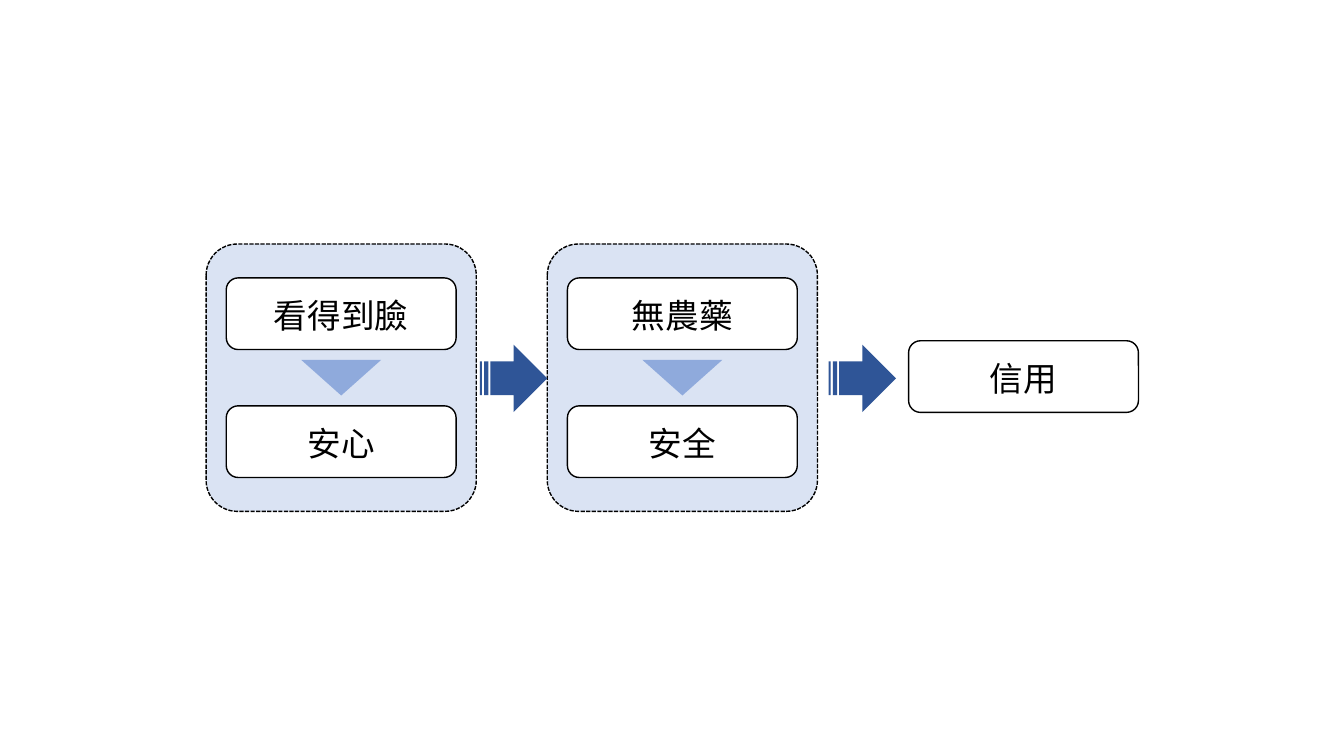
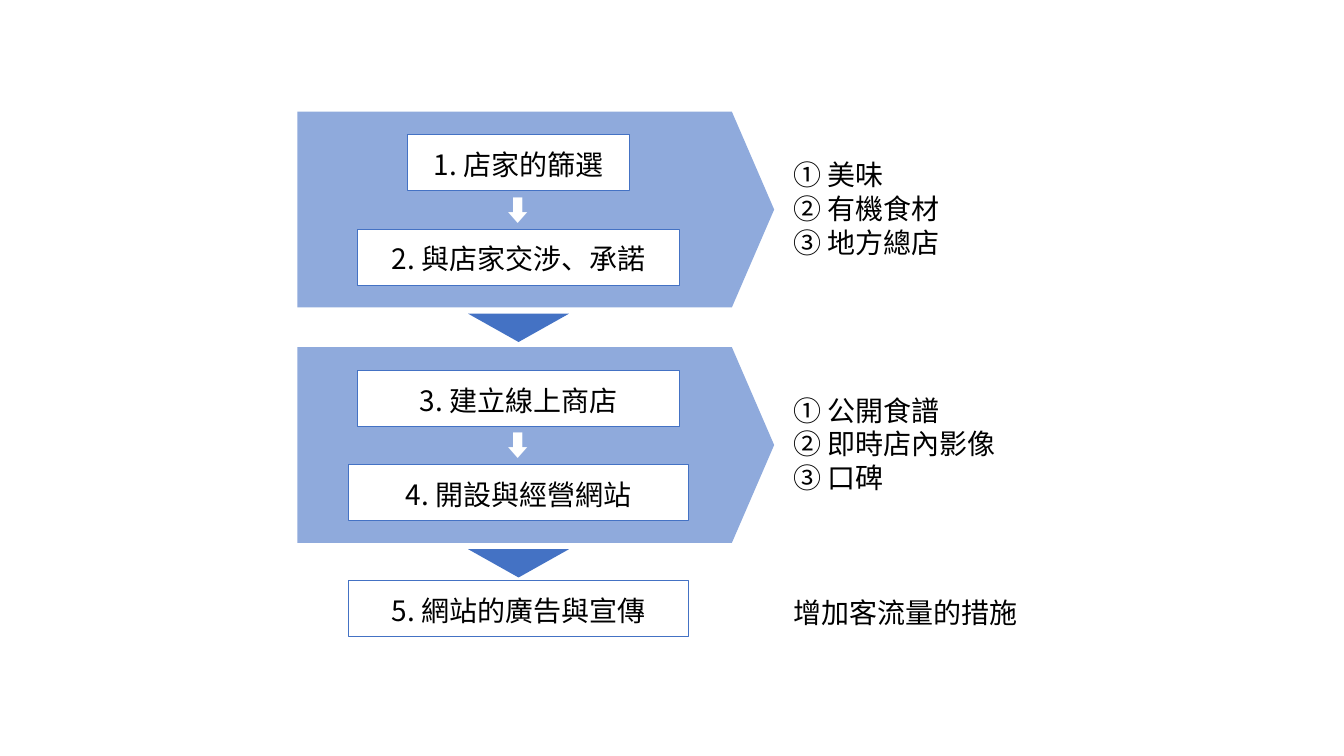
from dataclasses import dataclass

from lxml.etree import SubElement
from pptx import Presentation
from pptx.dml.color import RGBColor
from pptx.enum.dml import MSO_LINE
from pptx.enum.shapes import MSO_SHAPE as Kind
from pptx.enum.text import MSO_ANCHOR as Anchor, PP_ALIGN as Align
from pptx.oxml.ns import qn
from pptx.shapes.autoshape import Shape
from pptx.slide import Slide
from pptx.text.text import TextFrame
from pptx.util import Pt

FONT = "Noto Sans CJK JP"
BLACK, WHITE = "000000", "FFFFFF"
PALE, LIGHT, BLUE, DARK = "DAE3F3", "8FAADC", "4472C4", "2F5597"
BLANK_LAYOUT = 6


@dataclass(frozen=True)
class Area:
    """A rectangle in points."""
    left: float
    top: float
    width: float
    height: float

    def lengths(self) -> tuple[Pt, Pt, Pt, Pt]:
        """Return left, top, width and height as lengths."""
        return Pt(self.left), Pt(self.top), Pt(self.width), Pt(self.height)


@dataclass(frozen=True)
class Pair:
    """A cause and its effect, stacked in one panel."""
    cause: str
    effect: str


@dataclass(frozen=True)
class Step:
    """A numbered step and the width of its box."""
    text: str
    width: float


@dataclass(frozen=True)
class Phase:
    """Two steps with the points they cover."""
    first: Step
    second: Step
    points: tuple[str, ...]


def color(code: str) -> RGBColor:
    """Turn a hex string into a colour."""
    return RGBColor.from_string(code)


def centered(x: float, y: float, width: float, height: float) -> Area:
    """Return the area whose middle is at x, y."""
    return Area(x - width / 2, y - height / 2, width, height)


def write(frame: TextFrame, lines: tuple[str, ...], size: float,
          align: Align = Align.CENTER, code: str = BLACK, bold: bool = False) -> None:
    """Write one paragraph per line in the shared font."""
    frame.word_wrap = True
    for number, line in enumerate(lines):
        para = frame.add_paragraph() if number else frame.paragraphs[0]
        para.text = line
        para.alignment = align
        font = para.font
        font.name, font.size, font.bold = FONT, Pt(size), bold
        font.color.rgb = color(code)
        defaults = para._p.pPr.find(qn("a:defRPr"))
        SubElement(defaults, qn("a:ea")).set("typeface", FONT)


def add_figure(page: Slide, kind: Kind, area: Area, fill: str,
               line: str = "", weight: float = 1) -> Shape:
    """Add a flat preset shape, outlined only if a line colour is given."""
    figure = page.shapes.add_shape(kind, *area.lengths())
    figure.shadow.inherit = False
    figure.fill.solid()
    figure.fill.fore_color.rgb = color(fill)
    if line:
        figure.line.color.rgb = color(line)
        figure.line.width = Pt(weight)
    else:
        figure.line.fill.background()
    return figure


def add_pointer(page: Slide, area: Area, fill: str) -> None:
    """Add a triangle that points down."""
    add_figure(page, Kind.ISOSCELES_TRIANGLE, area, fill).rotation = 180


def add_label(figure: Shape, text: str, size: float) -> None:
    """Write a label in the middle of a shape."""
    frame = figure.text_frame
    frame.vertical_anchor = Anchor.MIDDLE
    frame.margin_top, frame.margin_bottom = Pt(2), Pt(0)
    write(frame, (text,), size)


def add_text(page: Slide, area: Area, lines: tuple[str, ...]) -> None:
    """Add a left-aligned text box."""
    box = page.shapes.add_textbox(*area.lengths())
    write(box.text_frame, lines, 20, Align.LEFT)


def add_card(page: Slide, x: float, y: float, text: str) -> None:
    """Add a rounded white card around a middle point."""
    area = centered(x, y, 164.2, 51.2)
    add_label(add_figure(page, Kind.ROUNDED_RECTANGLE, area, WHITE, BLACK), text, 24)


def add_panel(page: Slide, x: float, y: float, pair: Pair) -> None:
    """Add a dashed panel with two cards and a pointer between them."""
    panel = add_figure(page, Kind.ROUNDED_RECTANGLE, centered(x, y, 193, 191), PALE, BLACK)
    panel.adjustments[0] = 0.117
    panel.line.dash_style = MSO_LINE.SQUARE_DOT
    add_card(page, x, y - 45.7, pair.cause)
    add_card(page, x, y + 45.7, pair.effect)
    add_pointer(page, centered(x, y, 57, 25.4), LIGHT)


def build_trust(page: Slide) -> None:
    """Draw how seen faces and clean food lead to trust."""
    middle, pitch = 269.8, 243.7
    pairs = (Pair("看得到臉", "安心"), Pair("無農藥", "安全"))
    for column, pair in enumerate(pairs, 1):
        add_panel(page, pitch * column, middle, pair)
    add_card(page, pitch * 3, middle - 0.8, "信用")
    for left in (342.8, 591.9):
        add_figure(page, Kind.STRIPED_RIGHT_ARROW, Area(left, 246.2, 48.2, 48.2), DARK)


STEP_X = 370.4
NOTE_LEFT = 559.4


def add_step(page: Slide, top: float, step: Step) -> None:
    """Add the box of a numbered step."""
    area = Area(STEP_X - step.width / 2, top, step.width, 40)
    add_label(add_figure(page, Kind.RECTANGLE, area, WHITE, BLUE, 0.75), step.text, 20)


def add_small_arrow(page: Slide, y: float) -> None:
    """Add a white arrow character turned to point down."""
    box = page.shapes.add_textbox(*centered(STEP_X, y, 47.5, 31.5).lengths())
    box.rotation = 90
    box.text_frame.vertical_anchor = Anchor.MIDDLE
    write(box.text_frame, ("➡",), 20, code=WHITE, bold=True)


def add_phase(page: Slide, top: float, phase: Phase) -> None:
    """Add a phase with its steps, its points and the pointer below."""
    plate = add_figure(page, Kind.PENTAGON, Area(212.4, top, 340.6, 139.8), LIGHT)
    plate.adjustments[0] = 0.216
    add_step(page, top + 16.6, phase.first)
    add_small_arrow(page, top + 70.2)
    add_step(page, top + 83.9, phase.second)
    add_text(page, Area(NOTE_LEFT, top + 29.4, 181, 80), phase.points)
    add_pointer(page, Area(STEP_X - 36, top + 144.3, 72, 20.2), BLUE)


def build_plan(page: Slide) -> None:
    """Draw the five steps that open the shop."""
    phases = (
        Phase(Step("1. 店家的篩選", 158.6), Step("2. 與店家交涉、承諾", 230),
              ("① 美味", "② 有機食材", "③ 地方總店")),
        Phase(Step("3. 建立線上商店", 230), Step("4. 開設與經營網站", 243),
              ("① 公開食譜", "② 即時店內影像", "③ 口碑")),
    )
    for row, phase in enumerate(phases):
        add_phase(page, 79.8 + 168.2 * row, phase)
    add_step(page, 414.6, Step("5. 網站的廣告與宣傳", 243))
    add_text(page, Area(NOTE_LEFT, 422, 188, 31.5), ("增加客流量的措施",))


def main() -> None:
    """Build and save the deck."""
    deck = Presentation()
    deck.slide_width, deck.slide_height = Pt(960), Pt(540)
    for build in (build_trust, build_plan):
        build(deck.slides.add_slide(deck.slide_layouts[BLANK_LAYOUT]))
    deck.save("out.pptx")


main()
